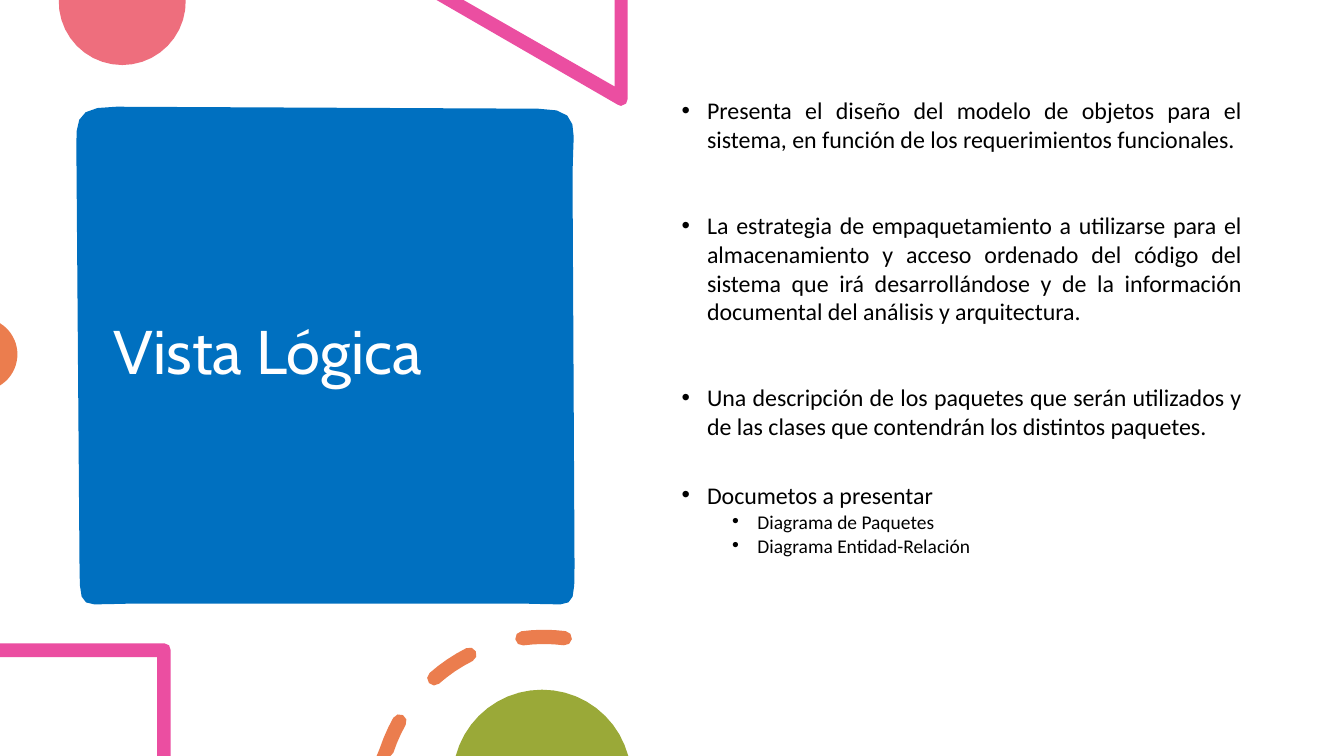
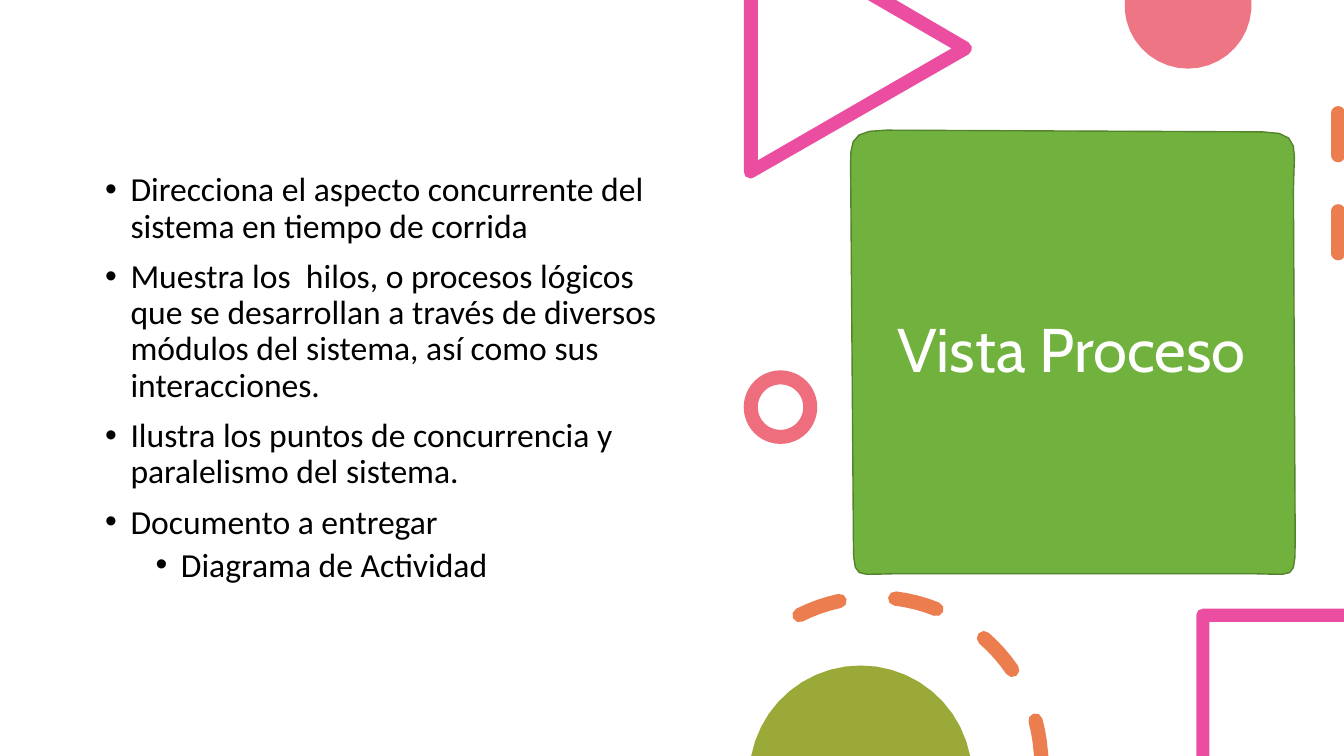
from math import acos, cos, degrees, radians, sin

from lxml.etree import SubElement
from pptx import Presentation
from pptx.dml.color import RGBColor
from pptx.enum.dml import MSO_LINE_DASH_STYLE as Dash
from pptx.enum.shapes import MSO_CONNECTOR as Connector, MSO_SHAPE as Preset
from pptx.enum.text import MSO_ANCHOR as Anchor, PP_ALIGN as Align
from pptx.oxml.ns import qn
from pptx.util import Cm, Pt

WIDTH, HEIGHT = 33.87, 19.05
PINK, MAGENTA, ORANGE, OLIVE = "EE6E7D", "EB4EA1", "EB7D4E", "9AA938"
BLUE, GREEN, DARK_GREEN = "0070C0", "71B13D", "54832D"
WHITE, BLACK = "FFFFFF", "000000"
STROKE = 10
TITLE_FONT = {"name": "Cabin", "size": Pt(44)}
BODY_FONT = "Calibri"
DASH_SWEEP, DASH_STEP, DASH_HALF = 14.7, 33.9, 0.18
UP, RIGHT, DOWN = 0, 90, 180

# Uneven square in percent of its side: points, or two controls and a point
BLOCK_OUTLINE = [
    (0, 12), (0, 3, -1.2, 0, 8, 0),
    (92.7, 0.4), (101.8, 0.4, 99.6, 4.4, 99.6, 13.5),
    (100, 92.3), (100, 101.6, 99.8, 99.8, 90.7, 99.8),
    (10, 99.8), (1, 99.8, 0.6, 101.6, 0.6, 92.3),
]

# Bands that run off the slide
TOP_CORNER = [
    (15.82, 0), (15.49, 0), (15.49, 2.18), (11.68, 0), (11, 0), (15.57, 2.64),
    (15.65, 2.67), (15.78, 2.61), (15.82, 2.49)]
LEFT_SQUARE = [
    (0, 16.21), (4.14, 16.21), (4.26, 16.26), (4.3, 16.38), (4.3, HEIGHT),
    (3.96, HEIGHT), (3.96, 16.56), (0, 16.56)]
TOP_TRIANGLE = [
    (18.75, 0), (19.1, 0), (19.1, 4.04), (23.98, 1.22), (21.87, 0), (22.58, 0),
    (24.41, 1.07), (24.49, 1.18), (24.48, 1.28), (24.41, 1.37), (19, 4.47),
    (18.92, 4.5), (18.79, 4.45), (18.75, 4.34)]
RIGHT_SQUARE = [
    (30.31, 15.34), (WIDTH, 15.34), (WIDTH, 15.67), (30.48, 15.67),
    (30.48, HEIGHT), (30.15, HEIGHT), (30.15, 15.49), (30.2, 15.38)]


def colour(value):
    return RGBColor.from_string(value)


def set_formats(target, formats):
    for name, value in formats.items():
        setattr(target, name, value)


def set_line(line, value, width=STROKE):
    line.fill.solid()
    line.fill.fore_color.rgb = colour(value)
    line.width = Pt(width)


# Outlines
def arc_points(x, y, radius, start, sweep, steps):
    """Points on a circle, with angles clockwise from the top."""
    angles = [radians(start + sweep * i / steps) for i in range(steps + 1)]
    return [(x + radius * sin(a), y - radius * cos(a)) for a in angles]


def curve_points(start, first, second, end, steps=6):
    for i in range(1, steps + 1):
        t = i / steps
        weights = ((1 - t) ** 3, 3 * t * (1 - t) ** 2, 3 * t * t * (1 - t), t ** 3)
        corners = (start, first, second, end)
        yield tuple(sum(w * c[axis] for w, c in zip(weights, corners)) for axis in (0, 1))


def add_outline(slide, fill, *contours):
    contours = [[(Cm(x), Cm(y)) for x, y in points] for points in contours]
    builder = slide.shapes.build_freeform(*contours[0][0])
    for i, points in enumerate(contours):
        if i:
            builder.move_to(*points[0])
        builder.add_line_segments(points[1:], close=True)
    shape = builder.convert_to_shape()
    shape.shadow.inherit = False
    shape.fill.solid()
    shape.fill.fore_color.rgb = colour(fill)
    shape.line.fill.background()
    return shape


# Decoration
def add_cut_disc(slide, x, y, radius, facing, fill, opacity=None):
    """A disc cut by the slide edge, seen in the direction it faces."""
    inside = {UP: HEIGHT - y, RIGHT: x, DOWN: y}[facing]
    half = degrees(acos(-inside / radius))
    shape = add_outline(
        slide, fill, arc_points(x, y, radius, facing - half, 2 * half, 20))
    if opacity:
        fill_colour = shape._element.spPr.find(qn("a:solidFill"))[0]
        SubElement(fill_colour, qn("a:alpha"), val=str(opacity * 1000))


def add_dashed_arc(slide, x, y, radius, start, count):
    dashes = []
    for i in range(count):
        first = start + i * DASH_STEP
        last = first + DASH_SWEEP
        (first_end,) = arc_points(x, y, radius, first, 0, 1)[:1]
        (last_end,) = arc_points(x, y, radius, last, 0, 1)[:1]
        points = (
            arc_points(x, y, radius + DASH_HALF, first, DASH_SWEEP, 4)
            + arc_points(*last_end, DASH_HALF, last, 180, 4)[1:-1]
            + arc_points(x, y, radius - DASH_HALF, last, -DASH_SWEEP, 4)
            + arc_points(*first_end, DASH_HALF, first + 180, 180, 4)[1:-1])
        dashes.append([(a, min(b, HEIGHT)) for a, b in points])
    add_outline(slide, ORANGE, *dashes)


def add_ring(slide, left, top, size):
    shape = slide.shapes.add_shape(Preset.OVAL, Cm(left), Cm(top), Cm(size), Cm(size))
    shape.shadow.inherit = False
    shape.fill.background()
    set_line(shape.line, PINK)


def add_dashed_line(slide, x, top, bottom):
    connector = slide.shapes.add_connector(
        Connector.STRAIGHT, Cm(x), Cm(top), Cm(x), Cm(bottom))
    set_line(connector.line, ORANGE)
    connector.line.dash_style = Dash.DASH
    line_element = connector.line._get_or_add_ln()
    line_element.set("cap", "rnd")
    SubElement(line_element, qn("a:round"))
    SubElement(connector._element.spPr, qn("a:effectLst"))


# Text
def add_text_frame(slide, box, anchor):
    frame = slide.shapes.add_textbox(*map(Cm, box)).text_frame
    set_formats(frame, {"word_wrap": True, "vertical_anchor": anchor})
    return frame


def add_run(paragraph, text, value, font):
    run = paragraph.add_run()
    run.text = text
    set_formats(run.font, font)
    run.font.color.rgb = colour(value)


def add_block(slide, left, top, side, fill, outline=None):
    points = []
    for x, y, *rest in BLOCK_OUTLINE:
        if rest:
            points += curve_points(points[-1], (x, y), rest[:2], rest[2:])
        else:
            points.append((x, y))
    unit = side / 100
    block = add_outline(slide, fill, [(left + x * unit, top + y * unit) for x, y in points])
    if outline:
        set_line(block.line, outline, 1)


def add_title(slide, box, text, align):
    paragraph = add_text_frame(slide, box, Anchor.MIDDLE).paragraphs[0]
    set_formats(paragraph, {"alignment": align, "line_spacing": 0.9})
    add_run(paragraph, text, WHITE, TITLE_FONT)


def add_bullets(slide, box, items, align):
    """Each item is level, text size, line spacing, space before and text."""
    frame = add_text_frame(slide, box, Anchor.TOP)
    for i, (level, size, spacing, before, text) in enumerate(items):
        paragraph = frame.add_paragraph() if i else frame.paragraphs[0]
        set_formats(paragraph, {
            "level": level, "alignment": align, "line_spacing": spacing,
            "space_before": Pt(before), "space_after": Pt(0)})
        properties = paragraph._p.get_or_add_pPr()
        properties.set("marL", str(Cm(0.64 + 1.27 * level)))
        properties.set("indent", str(Cm(-0.64)))
        SubElement(properties, qn("a:buFont"), typeface="Arial")
        SubElement(properties, qn("a:buChar"), char="•")
        add_run(paragraph, text, BLACK, {"name": BODY_FONT, "size": Pt(size)})


# Slides
def build_logical_view(slide):
    add_cut_disc(slide, 3.08, 0.04, 1.6, DOWN, PINK)
    add_outline(slide, MAGENTA, TOP_CORNER)
    add_cut_disc(slide, -0.48, 8.93, 0.92, RIGHT, ORANGE)
    add_bullets(slide, (16.93, 2.29, 14.61, 13.92), [
        (0, 17.1, 1.0, 10, "Presenta el diseño del modelo de objetos para el sistema, "
         "en función de los requerimientos funcionales."),
        (0, 17.1, 1.0, 41, "La estrategia de empaquetamiento a utilizarse para el "
         "almacenamiento y acceso ordenado del código del sistema que irá "
         "desarrollándose y de la información documental del análisis y arquitectura."),
        (0, 17.1, 1.0, 41, "Una descripción de los paquetes que serán utilizados y de "
         "las clases que contendrán los distintos paquetes."),
        (0, 17.1, 0.7, 34.6, "Documetos a presentar"),
        (1, 13.9, 0.72, 5, "Diagrama de Paquetes"),
        (1, 13.9, 0.72, 5, "Diagrama Entidad-Relación"),
    ], Align.JUSTIFY)
    add_outline(slide, MAGENTA, LEFT_SQUARE)
    add_dashed_arc(slide, 13.71, 20.23, 4.18, -75.3, 3)
    add_cut_disc(slide, 13.66, 19.63, 2.25, UP, OLIVE)
    add_block(slide, 1.93, 2.69, 12.55, BLUE)
    add_title(slide, (2.62, 3.14, 10.95, 11.58), "Vista Lógica", Align.LEFT)


def build_process_view(slide):
    add_cut_disc(slide, 29.94, 0.13, 1.6, DOWN, PINK, opacity=95)
    add_bullets(slide, (2.4, 4.23, 14.99, 12.09), [
        (0, 24, 0.9, 10, "Direcciona el aspecto concurrente del sistema en tiempo de "
         "corrida"),
        (0, 24, 0.9, 10, "Muestra los  hilos, o procesos lógicos que se desarrollan a "
         "través de diversos módulos del sistema, así como sus interacciones."),
        (0, 24, 0.9, 10, "Ilustra los puntos de concurrencia y paralelismo del sistema."),
        (0, 24, 0.9, 10, "Documento a entregar"),
        (1, 24, 0.9, 5, "Diagrama de Actividad"),
    ], Align.LEFT)
    add_ring(slide, 18.92, 9.51, 1.5)
    add_outline(slide, MAGENTA, TOP_TRIANGLE)
    add_dashed_line(slide, 33.73, 2.85, 7.29)
    add_dashed_arc(slide, 22.04, 19.25, 4.2, -26.8, 4)
    add_cut_disc(slide, 21.69, 19.58, 2.81, UP, OLIVE)
    add_outline(slide, MAGENTA, RIGHT_SQUARE)
    add_block(slide, 21.44, 3.28, 11.2, GREEN, DARK_GREEN)
    add_title(slide, (22.13, 3.73, 9.75, 10.31), "Vista Proceso", Align.CENTER)


def main():
    presentation = Presentation()
    set_formats(presentation, {"slide_width": Cm(WIDTH), "slide_height": Cm(HEIGHT)})
    for build in (build_logical_view, build_process_view):
        build(presentation.slides.add_slide(presentation.slide_layouts[6]))
    presentation.save("out.pptx")


if __name__ == "__main__":
    main()
